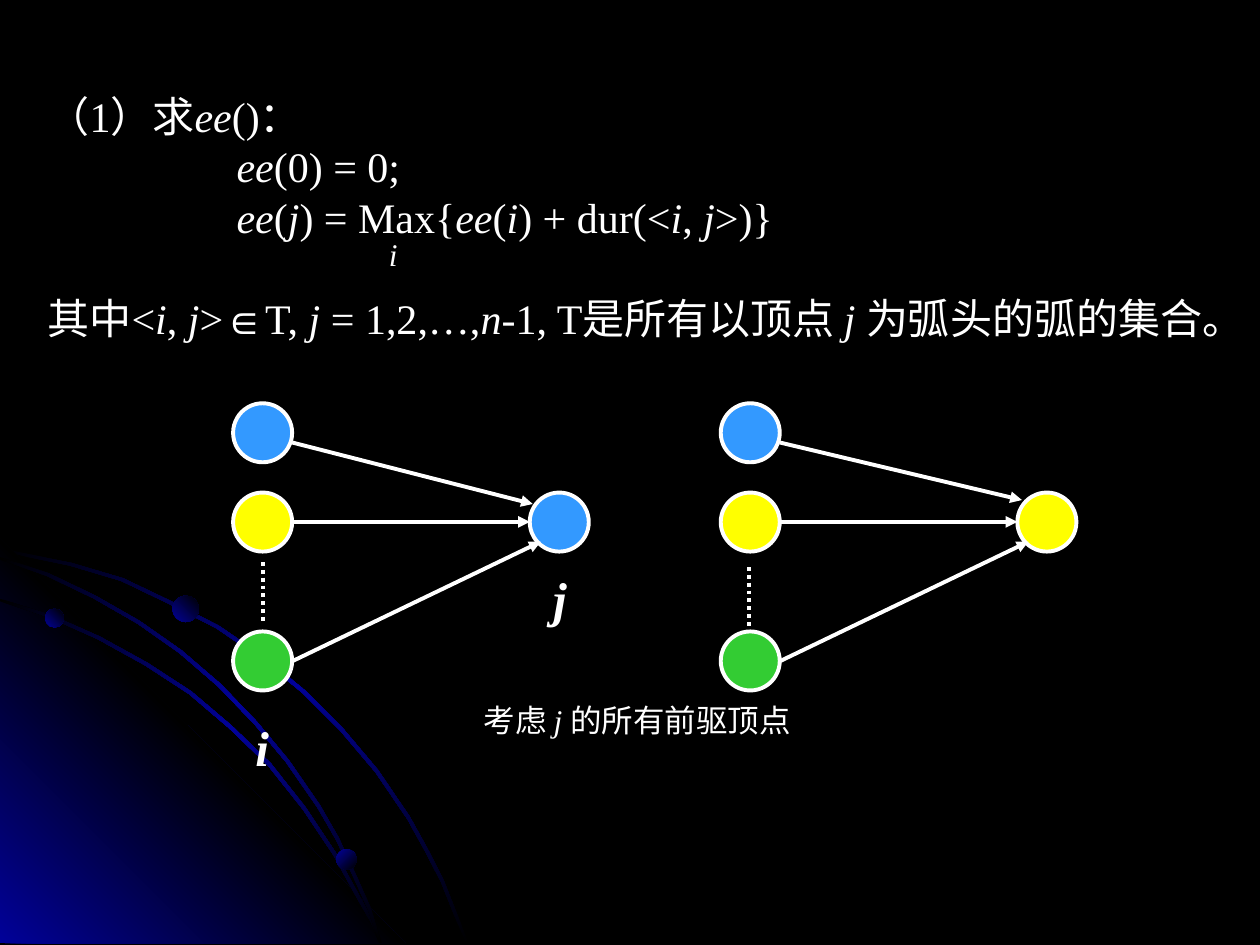
from lxml.etree import SubElement
from pptx import Presentation
from pptx.dml.color import RGBColor
from pptx.enum.dml import MSO_LINE_DASH_STYLE as Dash
from pptx.enum.shapes import MSO_CONNECTOR_TYPE as Connector, MSO_SHAPE as Shape
from pptx.enum.text import MSO_AUTO_SIZE as AutoSize
from pptx.oxml import parse_xml
from pptx.oxml.ns import nsdecls, qn
from pptx.util import Cm, Pt

BLACK, WHITE, NAVY = "000000", "FFFFFF", "010199"
BLUE, YELLOW, GREEN = "3399FF", "FFFF00", "33CC33"
NODE = 1.19

# Upper edges of the three curved bands in the corner
BANDS = [
    [(0, 11.05), (0.71, 11.2), (1.45, 11.35), (2.49, 11.66), (3.45, 12.12),
     (4.42, 12.62), (5.31, 13.23), (6.15, 13.92), (6.91, 14.68), (7.62, 15.52),
     (8.26, 16.46), (8.61, 17.09), (8.94, 17.73), (9.19, 18.36), (9.45, 19.02)],
    [(0, 12.07), (1.04, 12.4), (2.01, 12.83), (2.97, 13.36), (3.86, 13.94),
     (4.67, 14.63), (5.46, 15.39), (6.15, 16.26), (6.76, 17.17), (7.26, 18.08),
     (7.52, 18.54), (7.7, 19.02)],
    [(0, 11.23), (0.99, 11.56), (1.93, 12.01), (2.82, 12.52), (3.66, 13.11),
     (4.45, 13.79), (5.18, 14.55), (5.82, 15.32), (6.45, 16.23), (6.83, 16.89),
     (7.16, 17.6), (7.47, 18.29), (7.7, 19.02)],
]


def color(value):
    return RGBColor.from_string(value)


class SlideBuilder:
    font = "Times New Roman"
    ink = WHITE
    stroke = Pt(2.25)

    def __init__(self, page):
        self.page = page

    def gradient(self, shape, colors, angle):
        """Fill with evenly spaced colour stops; the angle is clockwise."""
        step = 100000 // (len(colors) - 1)
        stops = "".join(
            f'<a:gs pos="{n * step}"><a:srgbClr val="{value}"/></a:gs>'
            for n, value in enumerate(colors))
        shape.shadow.inherit = False
        shape.line.fill.background()
        shape.fill.background()
        properties = shape.element.spPr
        properties.replace(properties.find(qn("a:noFill")), parse_xml(
            f'<a:gradFill {nsdecls("a")}><a:gsLst>{stops}</a:gsLst>'
            f'<a:lin ang="{angle * 60000}" scaled="0"/></a:gradFill>'))

    def outline(self, points, colors, angle):
        start, *rest = [(Cm(x), Cm(y)) for x, y in points]
        builder = self.page.shapes.build_freeform(*start)
        builder.add_line_segments(rest, close=True)
        self.gradient(builder.convert_to_shape(), colors, angle)

    def band(self, edge):
        inner = [(max(x - 0.05, 0), min(y + 0.05, 19.02)) for x, y in edge]
        self.outline(edge + inner[::-1], [BLACK, NAVY, BLACK], 45)

    def circle(self, left, top, size):
        return self.page.shapes.add_shape(
            Shape.OVAL, Cm(left), Cm(top), Cm(size), Cm(size))

    def bead(self, left, top, size, angle):
        self.gradient(self.circle(left, top, size), [NAVY, BLACK], angle)

    def node(self, left, top, fill):
        shape = self.circle(left, top, NODE)
        shape.shadow.inherit = False
        shape.fill.solid()
        shape.fill.fore_color.rgb = color(fill)
        shape.line.color.rgb = color(self.ink)
        shape.line.width = self.stroke

    def line(self, x1, y1, x2, y2, dotted=False):
        """Draw an arrow, or a plain dotted line."""
        link = self.page.shapes.add_connector(
            Connector.STRAIGHT, Cm(x1), Cm(y1), Cm(x2), Cm(y2))
        link.line.color.rgb = color(self.ink)
        link.line.width = self.stroke
        if dotted:
            link.line.dash_style = Dash.ROUND_DOT
        else:
            SubElement(link.line._get_or_add_ln(), qn("a:tailEnd"), type="triangle")
        SubElement(link.element.spPr, qn("a:effectLst"))

    def text(self, left, top, width, height, lines, size, bold=False, wrap=True):
        """Add lines in which the parts between asterisks are italic."""
        box = self.page.shapes.add_textbox(Cm(left), Cm(top), Cm(width), Cm(height))
        frame = box.text_frame
        frame.word_wrap = wrap
        frame.auto_size = AutoSize.SHAPE_TO_FIT_TEXT
        frame.text = "\n".join(lines)
        for para, line in zip(frame.paragraphs, lines):
            para.text = ""
            for n, part in enumerate(line.split("*")):
                if part:
                    span = para.add_run()
                    span.text = part
                    span.font.name = self.font
                    span.font.size = Pt(size)
                    span.font.bold = bold
                    span.font.italic = n % 2 == 1
                    span.font.color.rgb = color(self.ink)
        return frame.paragraphs

    def diagram(self, left, target, tip, dots):
        """Three predecessors pointing at one vertex."""
        for top, fill in ((8.13, BLUE), (9.93, YELLOW), (12.73, GREEN)):
            self.node(left, top, fill)
        self.node(left + 5.98, 9.93, target)
        start = left + NODE
        self.line(start, 8.92, left + tip[0], tip[1])
        self.line(start, 10.52, left + 5.98, 10.52)
        self.line(start, 13.33, left + 6.2, 10.92)
        x, y = left + dots[0], dots[1]
        self.line(x, y, x, y + 1.19, dotted=True)


def main():
    deck = Presentation()
    deck.slide_width, deck.slide_height = Cm(25.4), Cm(19.05)
    page = deck.slides.add_slide(deck.slide_layouts[6])
    page.background.fill.solid()
    page.background.fill.fore_color.rgb = color(BLACK)
    builder = SlideBuilder(page)

    builder.band(BANDS[0])
    builder.outline([(8.18, 19.02), (0, 19.02), (0, 10.85)], [NAVY, BLACK, NAVY], 315)
    for edge in BANDS[1:]:
        builder.band(edge)
    builder.bead(0.91, 12.27, 0.38, 315)
    builder.bead(6.78, 17.12, 0.41, 45)
    builder.bead(3.48, 12.01, 0.53, 315)

    paras = builder.text(0.71, 1.7, 24, 5.38, [
        "（1）求*ee*()：",
        "*ee*(0) = 0;",
        "*ee*(*j*) = Max{*ee*(*i*) + dur(<*i*, *j*>)}",
        "其中<*i*, *j*>∈T, *j* = 1,2,…,*n*-1, T是所有以顶点 *j *为弧头的弧的集合。",
    ], 24)
    for para in paras[1:3]:
        para._p.get_or_add_pPr().set("marL", str(Cm(3.81)))
    paras[3].space_before = Pt(29)
    builder.text(7.59, 4.62, 0.69, 1.02, ["*i*"], 18, wrap=False)

    builder.diagram(4.7, BLUE, tip=(6.04, 10.16), dots=(0.61, 11.33))
    builder.diagram(14.53, YELLOW, tip=(6.07, 10.08), dots=(0.56, 11.43))
    for name, left, top in (("i", 4.9, 14.33), ("j", 10.9, 11.33)):
        builder.text(left, top, 0.79, 1.45, [f"*{name}*"], 28, bold=True, wrap=False)
    builder.text(9.5, 14, 6.78, 1.02, ["考虑 *j *的所有前驱顶点"], 18)

    deck.save("out.pptx")


if __name__ == "__main__":
    main()
